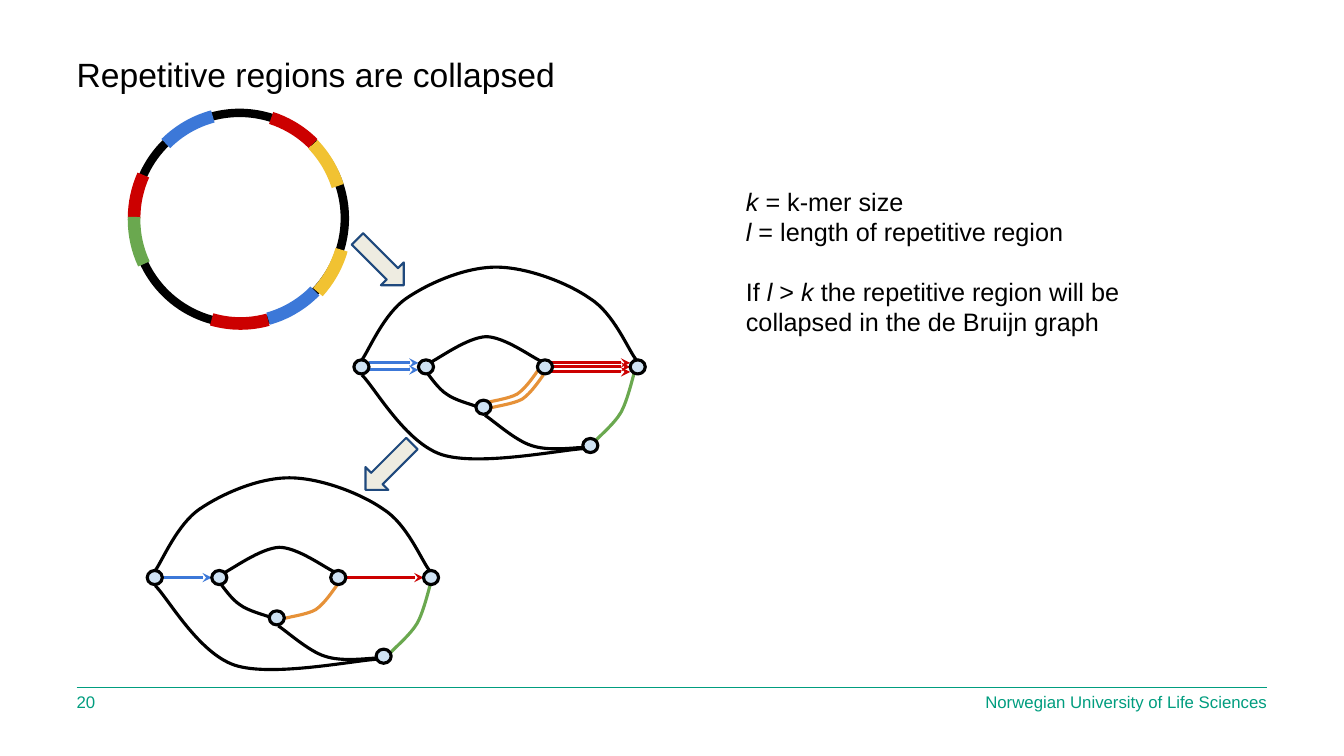
from dataclasses import dataclass

from lxml.etree import SubElement
from pptx import Presentation
from pptx.dml.color import RGBColor
from pptx.enum.shapes import MSO_CONNECTOR as Connector, MSO_SHAPE as Preset
from pptx.enum.text import MSO_ANCHOR as Anchor, PP_ALIGN as Align
from pptx.oxml.ns import qn
from pptx.util import Inches, Pt

Point = tuple[float, float]


@dataclass(frozen=True)
class Theme:
    font: str = "Arial"
    title_size: int = 24
    body_size: int = 18
    footer_size: int = 12
    black: str = "000000"
    red: str = "CC0000"
    blue: str = "3C78D8"
    green: str = "6AA84F"
    yellow: str = "F1C232"
    orange: str = "E69138"
    node_fill: str = "CFE2F3"
    arrow_fill: str = "EEECE1"
    arrow_line: str = "1F497D"
    footer: str = "009D7F"
    rule: str = "4A7EBB"


@dataclass(frozen=True)
class Arc:
    left: float
    top: float
    size: float
    start: float
    end: float
    color: str


@dataclass(frozen=True)
class Curve:
    points: list[Point]
    color: str = "000000"


@dataclass(frozen=True)
class Graph:
    shift: Point
    blue_rows: list[float]
    red_rows: list[float]
    orange_offsets: list[float]
    green_offset: float


@dataclass(frozen=True)
class Span:
    text: str
    italic: bool = False


THEME = Theme()

ARCS = [
    Arc(1.33, 1.12, 2.09, 180, 204.21, THEME.red),
    Arc(1.33, 1.15, 2.06, 154.79, 181.5, THEME.green),
    Arc(1.34, 1.12, 2.08, 225, 255, THEME.blue),
    Arc(1.33, 1.12, 2.08, 287.9, 315, THEME.red),
    Arc(1.37, 1.18, 2.03, 74.37, 106.32, THEME.red),
    Arc(1.34, 1.12, 2.08, 44.4, 74.4, THEME.blue),
    Arc(1.26, 1.1, 2.14, 316.4, 342.39, THEME.yellow),
    Arc(1.29, 1.11, 2.14, 16.2, 42.19, THEME.yellow),
]

NODES = [(3.51, 3.57), (4.15, 3.57), (5.33, 3.57), (6.25, 3.57), (4.72, 3.97), (5.78, 4.35)]
BLACK_CURVES = [
    Curve([(4.26, 3.6), (4.35, 3.56), (4.63, 3.35), (4.82, 3.34),
           (5, 3.34), (5.27, 3.54), (5.36, 3.58)]),
    Curve([(4.23, 3.69), (4.26, 3.73), (4.35, 3.86), (4.43, 3.91),
           (4.51, 3.97), (4.67, 4.01), (4.72, 4.03)]),
    Curve([(6.31, 3.57), (6.23, 3.47), (6.09, 3.11), (5.85, 2.96),
           (5.62, 2.8), (5.22, 2.65), (4.92, 2.65),
           (4.61, 2.65), (4.25, 2.81), (4.03, 2.96),
           (3.81, 3.11), (3.66, 3.47), (3.59, 3.57)]),
    Curve([(5.78, 4.44), (5.7, 4.44), (5.44, 4.48), (5.27, 4.42),
           (5.11, 4.37), (4.89, 4.17), (4.81, 4.12)]),
    Curve([(5.8, 4.45), (5.57, 4.46), (4.75, 4.63), (4.38, 4.51),
           (4.02, 4.39), (3.72, 3.85), (3.59, 3.72)]),
]
ORANGE_CURVE = Curve([(4.81, 4), (4.86, 3.98), (5.04, 3.96), (5.13, 3.91),
                      (5.22, 3.85), (5.31, 3.71), (5.34, 3.67)], THEME.orange)
GREEN_CURVE = Curve([(6.29, 3.7), (6.27, 3.77), (6.22, 3.98), (6.16, 4.09),
                     (6.09, 4.21), (5.93, 4.34), (5.89, 4.39)], THEME.green)
GRAPHS = [
    Graph((0, 0), [3.6, 3.67], [3.6, 3.64, 3.69], [0, 0.05], 0),
    Graph((-2.05, 2.09), [3.64], [3.64], [0.05], 0.03),
]

NOTES = [
    [Span("k", True), Span(" = k-mer size")],
    [Span("l", True), Span(" = length of repetitive region")],
    [Span("If "), Span("l", True), Span(" > "), Span("k", True),
     Span(" the repetitive region will be collapsed in the de Bruijn graph")],
]


def rgb(color: str) -> RGBColor:
    return RGBColor.from_string(color)


def style_shape(shape, line: str, width: float, fill: str | None = None) -> None:
    shape.shadow.inherit = False
    shape.line.color.rgb = rgb(line)
    shape.line.width = Pt(width)
    if fill:
        shape.fill.solid()
        shape.fill.fore_color.rgb = rgb(fill)
    else:
        shape.fill.background()


def add_preset(page, kind, left: float, top: float, width: float, height: float):
    return page.shapes.add_shape(kind, Inches(left), Inches(top), Inches(width), Inches(height))


def add_line(page, start: Point, end: Point, color: str, width: float, head: bool = False) -> None:
    line = page.shapes.add_connector(Connector.STRAIGHT, *map(Inches, start + end))
    line.line.color.rgb = rgb(color)
    line.line.width = Pt(width)
    if head:
        SubElement(line.line._get_or_add_ln(), qn("a:tailEnd"), type="stealth")
    SubElement(line._element.spPr, qn("a:effectLst"))


def add_curve(page, curve: Curve, dx: float, dy: float) -> None:
    points = [(Inches(x + dx), Inches(y + dy)) for x, y in curve.points]
    builder = page.shapes.build_freeform(*points[0])
    builder.add_line_segments(points[1:], close=False)
    shape = builder.convert_to_shape()
    outline = shape._element.find(".//" + qn("a:path"))
    corners = outline.findall(qn("a:lnTo"))
    for first in range(0, len(corners), 3):
        bezier = SubElement(outline, qn("a:cubicBezTo"))
        for corner in corners[first:first + 3]:
            bezier.append(corner[0])
            outline.remove(corner)
    style_shape(shape, curve.color, 2.25)


def add_graph(page, graph: Graph) -> None:
    dx, dy = graph.shift
    for rows, start, end, color in ((graph.blue_rows, 3.66, 4.15, THEME.blue),
                                    (graph.red_rows, 5.47, 6.25, THEME.red)):
        for row in rows:
            add_line(page, (start + dx, row + dy), (end + dx, row + dy), color, 2.25, head=True)
    for curve in BLACK_CURVES:
        add_curve(page, curve, dx, dy)
    for offset in graph.orange_offsets:
        add_curve(page, ORANGE_CURVE, dx + offset, dy + offset)
    add_curve(page, GREEN_CURVE, dx + graph.green_offset, dy)
    for left, top in NODES:
        node = add_preset(page, Preset.OVAL, left + dx, top + dy, 0.15, 0.14)
        style_shape(node, THEME.black, 2.25, THEME.node_fill)


def add_genome(page) -> None:
    style_shape(add_preset(page, Preset.OVAL, 1.33, 1.12, 2.09, 2.09), THEME.black, 6)
    for arc in ARCS:
        shape = add_preset(page, Preset.ARC, arc.left, arc.top, arc.size, arc.size)
        shape.adjustments[0] = arc.start * 0.6
        shape.adjustments[1] = arc.end * 0.6
        style_shape(shape, arc.color, 9)


def add_block_arrow(page, left: float, top: float, rotation: float) -> None:
    arrow = add_preset(page, Preset.RIGHT_ARROW, left, top, 0.65, 0.32)
    arrow.rotation = rotation
    style_shape(arrow, THEME.arrow_line, 1.5, THEME.arrow_fill)


def add_text(page, left: float, top: float, width: float, height: float, size: int, color: str,
             lines: list[list[Span]], align=Align.LEFT, label: bool = True):
    box = page.shapes.add_textbox(Inches(left), Inches(top), Inches(width), Inches(height))
    frame = box.text_frame
    frame.word_wrap = True
    if label:
        frame.vertical_anchor = Anchor.MIDDLE
        frame.margin_left = frame.margin_right = frame.margin_top = frame.margin_bottom = 0
    for index, spans in enumerate(lines):
        para = frame.add_paragraph() if index else frame.paragraphs[0]
        para.alignment = align
        para.font.name, para.font.size = THEME.font, Pt(size)
        para.font.color.rgb = rgb(color)
        for span in spans:
            run = para.add_run()
            run.text = span.text
            if span.italic:
                run.font.italic = True
    return frame


def main() -> None:
    deck = Presentation()
    deck.slide_width, deck.slide_height = Inches(13.33), Inches(7.5)
    page = deck.slides.add_slide(deck.slide_layouts[6])
    add_line(page, (0.76, 6.82), (12.57, 6.82), THEME.footer, 0.75)
    add_text(page, 0.76, 0.44, 10.48, 0.58, THEME.title_size, THEME.black,
             [[Span("Repetitive regions are collapsed")]])
    add_text(page, 8.07, 6.85, 4.5, 0.22, THEME.footer_size, THEME.footer,
             [[Span("Norwegian University of Life Sciences")]], Align.RIGHT)
    add_text(page, 0.76, 6.85, 3, 0.22, THEME.footer_size, THEME.footer, [[Span("20")]])
    notes = add_text(page, 7.3, 1.8, 4.9, 1.48, THEME.body_size, THEME.black, NOTES, label=False)
    notes.paragraphs[-1].space_before = Pt(21)
    add_genome(page)
    for graph in GRAPHS:
        add_graph(page, graph)
    add_block_arrow(page, 3.45, 2.44, 45)
    add_block_arrow(page, 3.53, 4.47, 135)
    deck.save("out.pptx")


if __name__ == "__main__":
    main()
